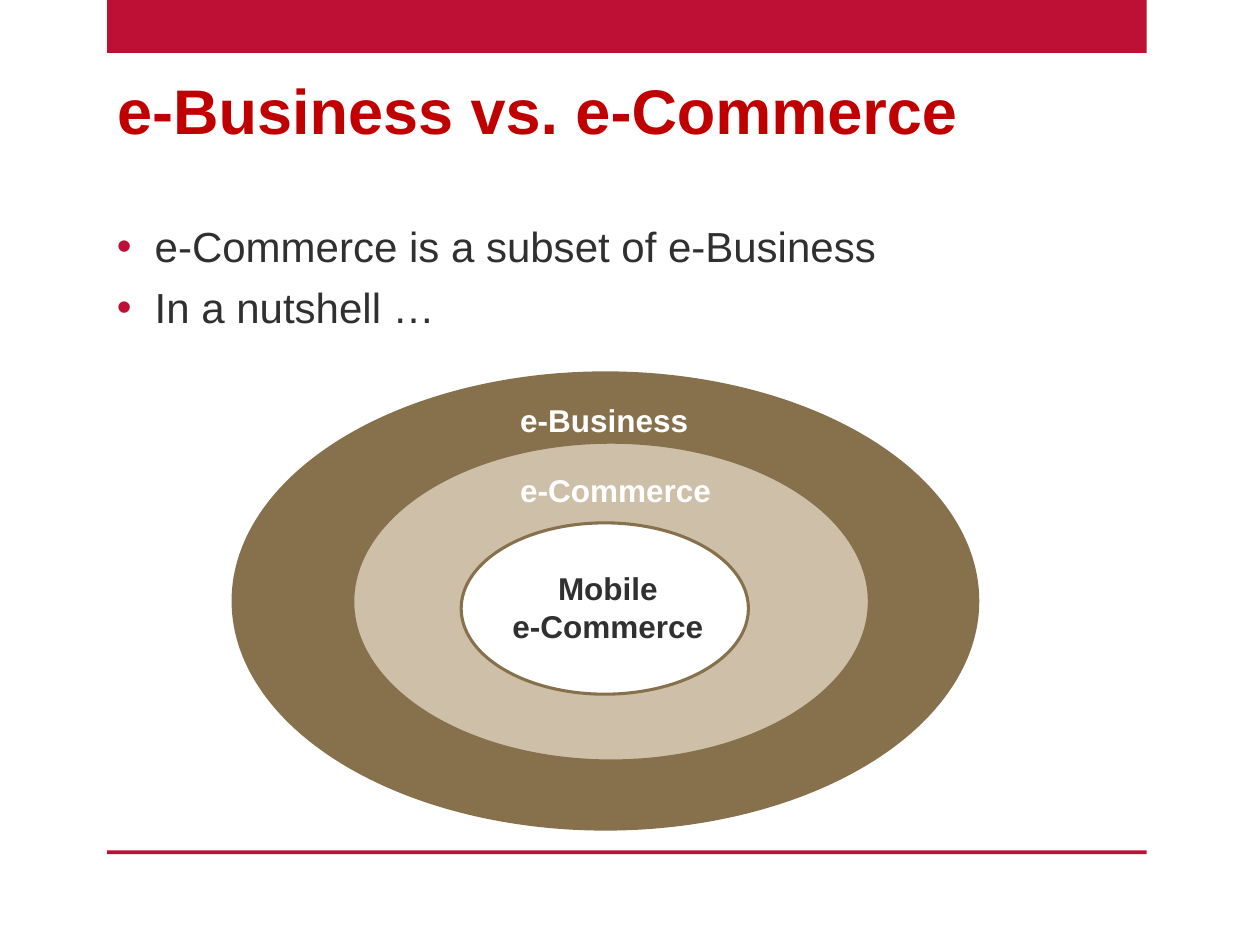
from lxml import etree
from pptx import Presentation
from pptx.dml.color import RGBColor
from pptx.enum.shapes import MSO_SHAPE
from pptx.enum.text import MSO_ANCHOR, PP_ALIGN
from pptx.oxml.ns import qn
from pptx.util import Inches, Pt

RECT, OVAL = MSO_SHAPE.RECTANGLE, MSO_SHAPE.OVAL
TOP = MSO_ANCHOR.TOP
LEFT, MID = PP_ALIGN.LEFT, PP_ALIGN.CENTER

THEME = {
    "font": "Arial",
    "red": RGBColor.from_string("BE0F34"),
    "title": RGBColor.from_string("C00000"),
    "ink": RGBColor.from_string("303030"),
    "brown": RGBColor.from_string("87714D"),
    "tan": RGBColor.from_string("CDBFA8"),
    "white": RGBColor.from_string("FFFFFF"),
    "head": Pt(36), "body": Pt(24), "label": Pt(18), "line": Pt(1.75),
}


def write(frame, lines, size, color, bold, align=LEFT, wrap=True):
    """Fill a text frame with one paragraph per line."""
    form = {"word_wrap": wrap, "vertical_anchor": TOP}
    for key, val in form.items():
        setattr(frame, key, val)
    frame.text = "\n".join(lines)
    style = {"name": THEME["font"], "size": THEME[size], "bold": bold}
    for para in frame.paragraphs:
        para.alignment = align
        font = para.runs[0].font
        for key, val in style.items():
            setattr(font, key, val)
        font.color.rgb = THEME[color]


def draw(shapes, kind, box, fill, edge=None):
    """Add a filled shape, outlined if an edge colour is given."""
    shape = shapes.add_shape(kind, *map(Inches, box))
    shape.shadow.inherit = False
    shape.fill.solid()
    shape.fill.fore_color.rgb = THEME[fill]
    if edge:
        shape.line.color.rgb = THEME[edge]
        shape.line.width = THEME["line"]
    else:
        shape.line.fill.background()


deck = Presentation()
deck.slide_width, deck.slide_height = Inches(10), Inches(7.5)
slide = deck.slides.add_slide(deck.slide_layouts[5])

# Bands at the top and foot
for top, height in ((0, 0.42), (6.75, 0.03)):
    draw(slide.shapes, RECT, (0.85, top, 8.25, height), "red")

# Title
title = slide.shapes.title
place = {"left": 0.83, "top": 0.52, "width": 7.42, "height": 1.75}
for key, val in place.items():
    setattr(title, key, Inches(val))
write(title.text_frame, ["e-Business vs. e-Commerce"], "head", "title", True)

# Bullets
body = slide.shapes.add_textbox(*map(Inches, (0.83, 1.7, 8.9, 4.88)))
points = ["e-Commerce is a subset of e-Business", "In a nutshell …"]
write(body.text_frame, points, "body", "ink", False)
for para in body.text_frame.paragraphs:
    para.space_before = Pt(6)
    props = para._p.get_or_add_pPr()
    props.set("marL", str(Inches(0.3)))
    props.set("indent", str(-Inches(0.3)))
    tint = etree.SubElement(props, qn("a:buClr"))
    etree.SubElement(tint, qn("a:srgbClr")).set("val", str(THEME["red"]))
    etree.SubElement(props, qn("a:buFont")).set("typeface", THEME["font"])
    etree.SubElement(props, qn("a:buChar")).set("char", "•")

# Nested ovals, outermost first: oval box, fill, label box, lines, ink, align
rings = (
    ((1.85, 2.96, 5.91, 3.62), "brown", (4.03, 3.13, 1.55, 0.4),
     ["e-Business"], "white", LEFT),
    ((2.8, 3.51, 4.1, 2.53), "tan", (4.03, 3.69, 1.73, 0.4),
     ["e-Commerce"], "white", LEFT),
    ((3.66, 4.15, 2.28, 1.36), "white", (3.96, 4.47, 1.73, 0.71),
     ["Mobile", "e-Commerce"], "ink", MID),
)
for oval, fill, spot, lines, ink, align in rings:
    group = slide.shapes.add_group_shape()
    draw(group.shapes, OVAL, oval, fill, "brown")
    label = group.shapes.add_textbox(*map(Inches, spot))
    write(label.text_frame, lines, "label", ink, True, align, wrap=False)

deck.save("out.pptx")
